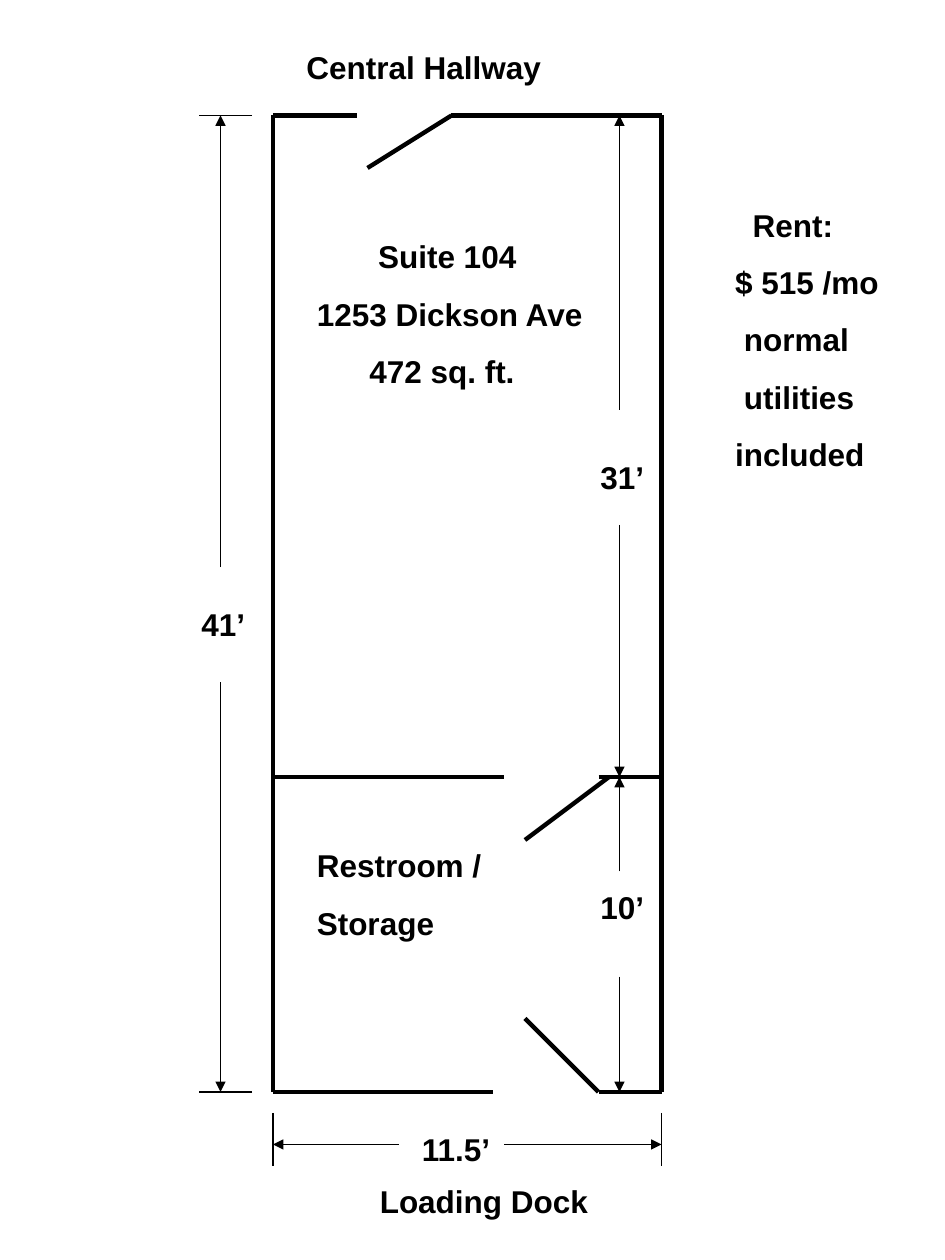
from dataclasses import dataclass
from pptx import Presentation
from pptx.dml.color import RGBColor
from pptx.enum.shapes import MSO_CONNECTOR
from pptx.enum.text import MSO_AUTO_SIZE
from pptx.oxml.ns import qn
from pptx.util import Inches, Pt
from lxml.etree import SubElement

COLS, ROWS = 90, 120
LEFT, RIGHT, TOP, INNER, BOTTOM = 26, 63, 11, 74, 104
DIM_LEFT, DIM_RIGHT, DIM_BOTTOM = 21, 59, 109
BLACK = "000000"
SPACE = 5

prs = Presentation()
prs.slide_width, prs.slide_height = Inches(7.5), Inches(10)
s = prs.slides.add_slide(prs.slide_layouts[6])
COL, ROW = prs.slide_width / COLS, prs.slide_height / ROWS


@dataclass
class Line:
    x1: float
    y1: float
    x2: float
    y2: float


@dataclass
class Label:
    col: float
    row: float
    cols: float
    text: str
    indents: tuple[int, ...] = ()


def color(value: str) -> RGBColor:
    return RGBColor.from_string(value)


def draw_line(ln: Line, width: float, arrow: bool = False) -> None:
    c = s.shapes.add_connector(
        MSO_CONNECTOR.STRAIGHT,
        round(ln.x1 * COL), round(ln.y1 * ROW),
        round(ln.x2 * COL), round(ln.y2 * ROW))
    c.line.width = Pt(width)
    c.line.color.rgb = color(BLACK)
    if arrow:
        SubElement(c.line._get_or_add_ln(), qn("a:tailEnd"), type="triangle")
    SubElement(c._element.spPr, qn("a:effectLst"))


def draw_label(label: Label) -> None:
    extra = label.text.count("\n")
    sp = s.shapes.add_textbox(
        round(label.col * COL), round(label.row * ROW),
        round(label.cols * COL), Inches(0.4 + 0.46 * extra))
    tf = sp.text_frame
    tf.word_wrap = True
    tf.auto_size = MSO_AUTO_SIZE.SHAPE_TO_FIT_TEXT
    tf.text = label.text
    for i, p in enumerate(tf.paragraphs):
        p.space_before = Pt(11.2)
        if label.indents:
            p._p.get_or_add_pPr().set("marL", str(Pt(label.indents[i] * SPACE)))
        for r in p.runs:
            r.font.name, r.font.size, r.font.bold = "Arial", Pt(18), True
            r.font.color.rgb = color(BLACK)


walls = [
    Line(LEFT, TOP, LEFT, BOTTOM),
    Line(RIGHT, BOTTOM, RIGHT, TOP),
    Line(LEFT, TOP, 34, TOP),
    Line(43, TOP, RIGHT, TOP),
    Line(LEFT, INNER, 48, INNER),
    Line(57, INNER, RIGHT, INNER),
    Line(LEFT, BOTTOM, 47, BOTTOM),
    Line(57, BOTTOM, RIGHT, BOTTOM),
]
doors = [
    Line(43, TOP, 35, 16),
    Line(50, 80, 58, INNER),
    Line(50, 97, 57, BOTTOM),
]
ticks = [Line(24, y, 19, y) for y in (BOTTOM, TOP)]
ticks += [Line(x, 106, x, 111) for x in (LEFT, RIGHT)]
arrows = [
    Line(DIM_LEFT, 54, DIM_LEFT, TOP),
    Line(DIM_LEFT, 65, DIM_LEFT, BOTTOM),
    Line(DIM_RIGHT, 39, DIM_RIGHT, TOP),
    Line(DIM_RIGHT, 50, DIM_RIGHT, INNER),
    Line(DIM_RIGHT, 83, DIM_RIGHT, INNER),
    Line(DIM_RIGHT, 93, DIM_RIGHT, BOTTOM),
    Line(38, DIM_BOTTOM, LEFT, DIM_BOTTOM),
    Line(48, DIM_BOTTOM, RIGHT, DIM_BOTTOM),
]
labels = [
    Label(18, 57, 8, "41’"),
    Label(56, 43, 8, "31’"),
    Label(56, 84, 8, "10’"),
    Label(39, 107, 11, "11.5’"),
    Label(29, 80, 19, "Restroom /\nStorage"),
    Label(68, 19, 32, "Rent:\n$ 515 /mo\nnormal\nutilities\nincluded", (3, 1, 2, 2, 1)),
    Label(29, 22, 30, "Suite 104\n1253 Dickson Ave\n472 sq. ft.", (7, 0, 6)),
    Label(28, 4, 46, "Central Hallway"),
    Label(35, 112, 48, "Loading Dock"),
]

for ln in walls + doors:
    draw_line(ln, 2.5)
for ln in ticks:
    draw_line(ln, 0.75)
for ln in arrows:
    draw_line(ln, 0.75, arrow=True)
for label in labels:
    draw_label(label)

prs.save("out.pptx")
